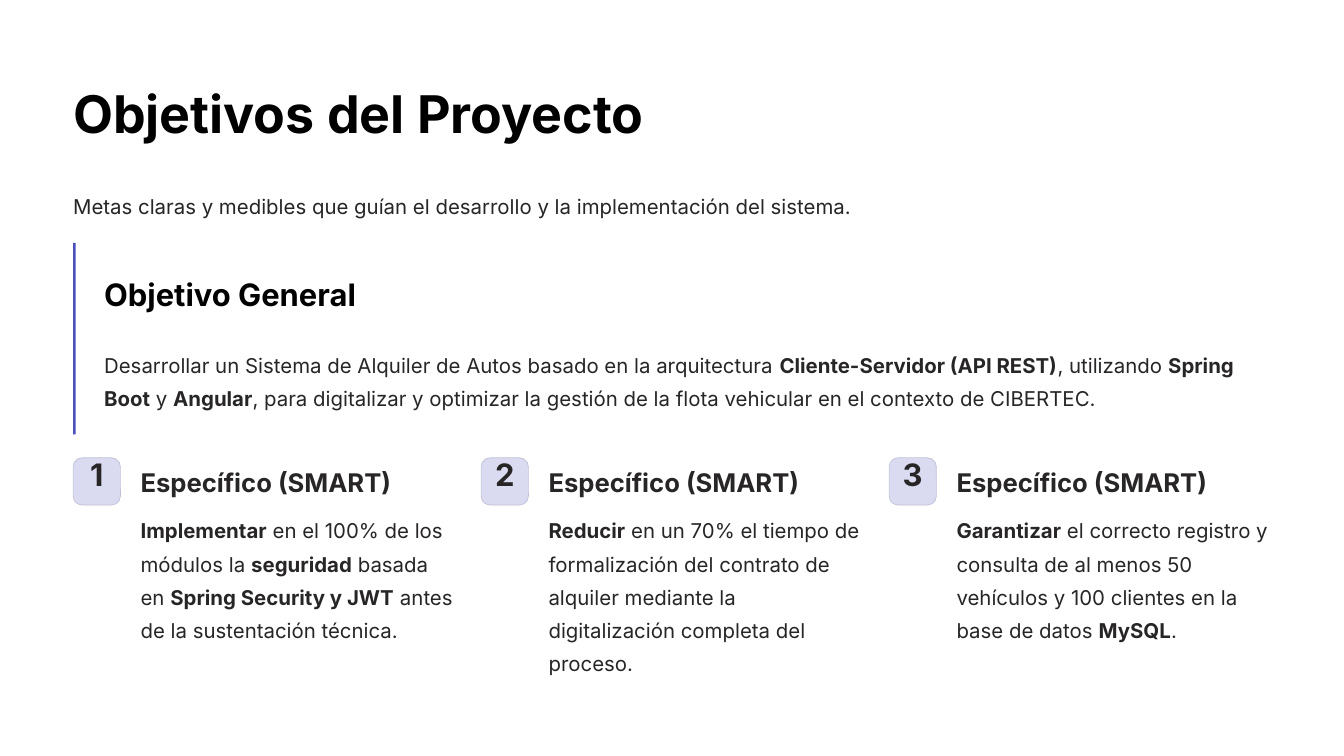
from dataclasses import dataclass

import pptx
import pptx.dml.color
import pptx.enum.shapes
import pptx.enum.text
import pptx.util

Pt = pptx.util.Pt
FONT = "Inter"
COLORS = {
    "title": "000000",
    "text": "272525",
    "accent": "4950BC",
    "badge": "DADBF1",
    "badge_line": "C0C1D7",
}
LEFT = 62.7
COLUMN_STEP = 349.7
BADGE_TOP = 392.4
BADGE_SIZE = 40.5
COLUMN_INDENT = 57.8


@dataclass
class Style:
    size: float
    spacing: float
    color: str = "text"
    bold: bool = False
    wrap: bool = False
    align: pptx.enum.text.PP_ALIGN = pptx.enum.text.PP_ALIGN.LEFT


@dataclass
class Label:
    left: float
    top: float
    width: float
    height: float
    text: str
    style: Style


@dataclass
class Goal:
    text: str
    height: float


TITLE = Style(44.5, 55.5, "title", bold=True)
HEADING = Style(26.5, 33, "title", bold=True)
SUBHEADING = Style(22, 27.5, bold=True)
NUMBER = Style(26.5, 26.5, bold=True, align=pptx.enum.text.PP_ALIGN.CENTER)
LEAD = Style(17.5, 28.5)
BODY = Style(17.5, 28.5, wrap=True)

TITLE_LABEL = Label(LEFT, 67.7, 491, 56.2, "Objetivos del Proyecto", TITLE)
LABELS = [
    Label(LEFT, 159.1, 1026.7, 28.8,
          "Metas claras y medibles que guían el desarrollo y la implementación del sistema.", LEAD),
    Label(89.3, 234.7, 267.8, 33.8, "Objetivo General", HEADING),
    Label(89.3, 295.2, 1000, 56.9,
          "Desarrollar un Sistema de Alquiler de Autos basado en la arquitectura "
          "**Cliente-Servidor (API REST)**, utilizando **Spring Boot** y **Angular**, "
          "para digitalizar y optimizar la gestión de la flota vehicular en el contexto de CIBERTEC.",
          BODY),
]
GOALS = [
    Goal("**Implementar** en el 100% de los módulos la **seguridad** basada en "
         "**Spring Security y JWT** antes de la sustentación técnica.", 142.6),
    Goal("**Reducir** en un 70% el tiempo de formalización del contrato de alquiler "
         "mediante la digitalización completa del proceso.", 142.6),
    Goal("**Garantizar** el correcto registro y consulta de al menos 50 vehículos y "
         "100 clientes en la base de datos **MySQL**.", 114.5),
]


def rgb(name: str) -> pptx.dml.color.RGBColor:
    return pptx.dml.color.RGBColor.from_string(COLORS[name])


def write(shape, text: str, style: Style, top_inset: float = 0) -> None:
    tf = shape.text_frame
    tf.margin_left = tf.margin_right = tf.margin_bottom = 0
    tf.margin_top = Pt(top_inset)
    tf.auto_size = pptx.enum.text.MSO_AUTO_SIZE.NONE
    tf.vertical_anchor = pptx.enum.text.MSO_ANCHOR.TOP
    tf.word_wrap = style.wrap
    p = tf.paragraphs[0]
    p.alignment = style.align
    p.line_spacing = Pt(style.spacing)
    p.font.name = FONT
    p.font.size = Pt(style.size)
    p.font.bold = style.bold
    p.font.color.rgb = rgb(style.color)
    for i, part in enumerate(text.split("**")):
        if part:
            r = p.add_run()
            r.text = part
            if i % 2:
                r.font.bold = True


def add_label(s, label: Label) -> None:
    box = s.shapes.add_textbox(Pt(label.left), Pt(label.top), Pt(label.width), Pt(label.height))
    write(box, label.text, label.style)


def add_title(s, label: Label) -> None:
    title = s.shapes.title
    title.left, title.top = Pt(label.left), Pt(label.top)
    title.width, title.height = Pt(label.width), Pt(label.height)
    write(title, label.text, label.style)


def add_block(s, kind, left: float, top: float, width: float, height: float, fill: str):
    sp = s.shapes.add_shape(kind, Pt(left), Pt(top), Pt(width), Pt(height))
    sp.shadow.inherit = False
    sp.fill.solid()
    sp.fill.fore_color.rgb = rgb(fill)
    sp.line.fill.background()
    return sp


def add_goal(s, index: int, goal: Goal) -> None:
    left = LEFT + index * COLUMN_STEP
    badge = add_block(s, pptx.enum.shapes.MSO_SHAPE.ROUNDED_RECTANGLE,
                      left, BADGE_TOP, BADGE_SIZE, BADGE_SIZE, "badge")
    badge.adjustments[0] = 0.187
    badge.line.color.rgb = rgb("badge_line")
    badge.line.width = Pt(0.6)
    write(badge, str(index + 1), NUMBER, top_inset=1.4)
    text_left = left + COLUMN_INDENT
    add_label(s, Label(text_left, 398.9, 223.2, 28.1, "Específico (SMART)", SUBHEADING))
    add_label(s, Label(text_left, 437, 269.3, goal.height, goal.text, BODY))


def main() -> None:
    prs = pptx.Presentation()
    prs.slide_width, prs.slide_height = Pt(1152), Pt(648)
    s = prs.slides.add_slide(prs.slide_layouts.get_by_name("Title Only"))
    add_title(s, TITLE_LABEL)
    for label in LABELS:
        add_label(s, label)
    add_block(s, pptx.enum.shapes.MSO_SHAPE.RECTANGLE, LEFT, 208.1, 2.2, 164.2, "accent")
    for index, goal in enumerate(GOALS):
        add_goal(s, index, goal)
    prs.save("out.pptx")


if __name__ == "__main__":
    main()
